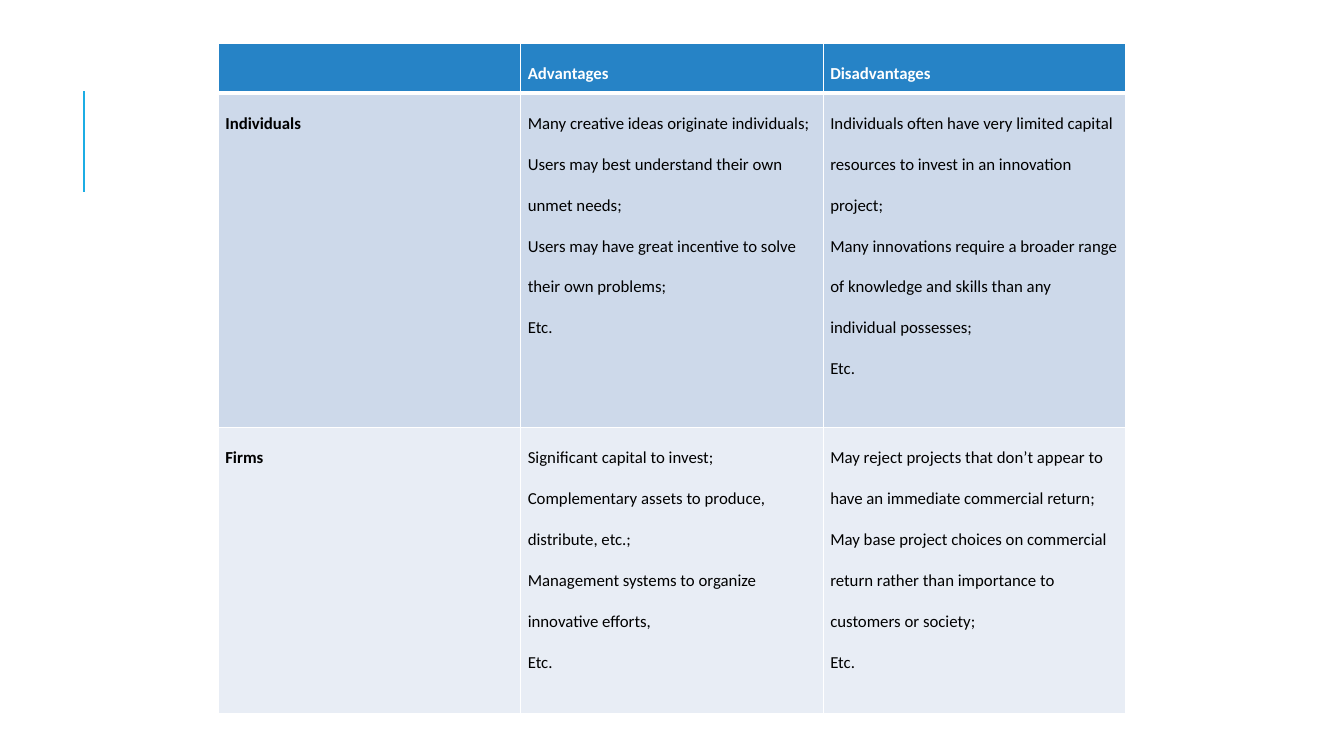
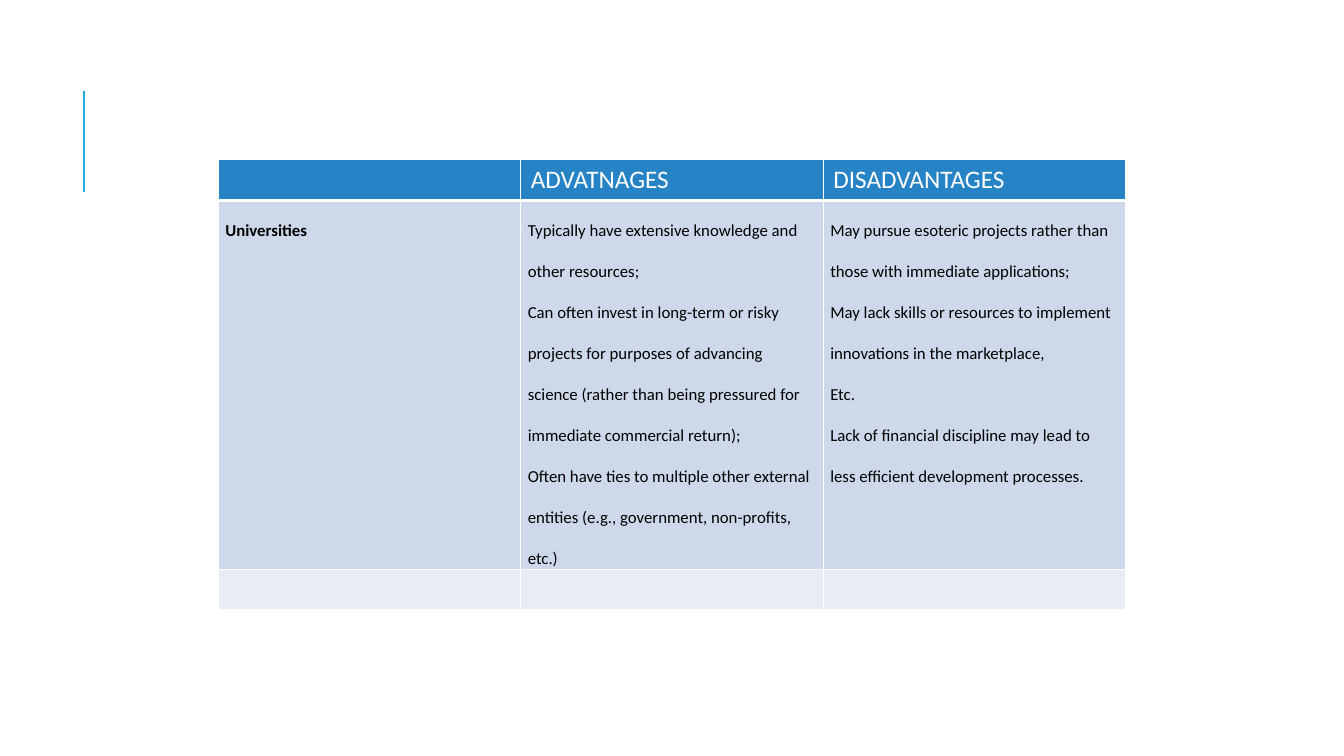
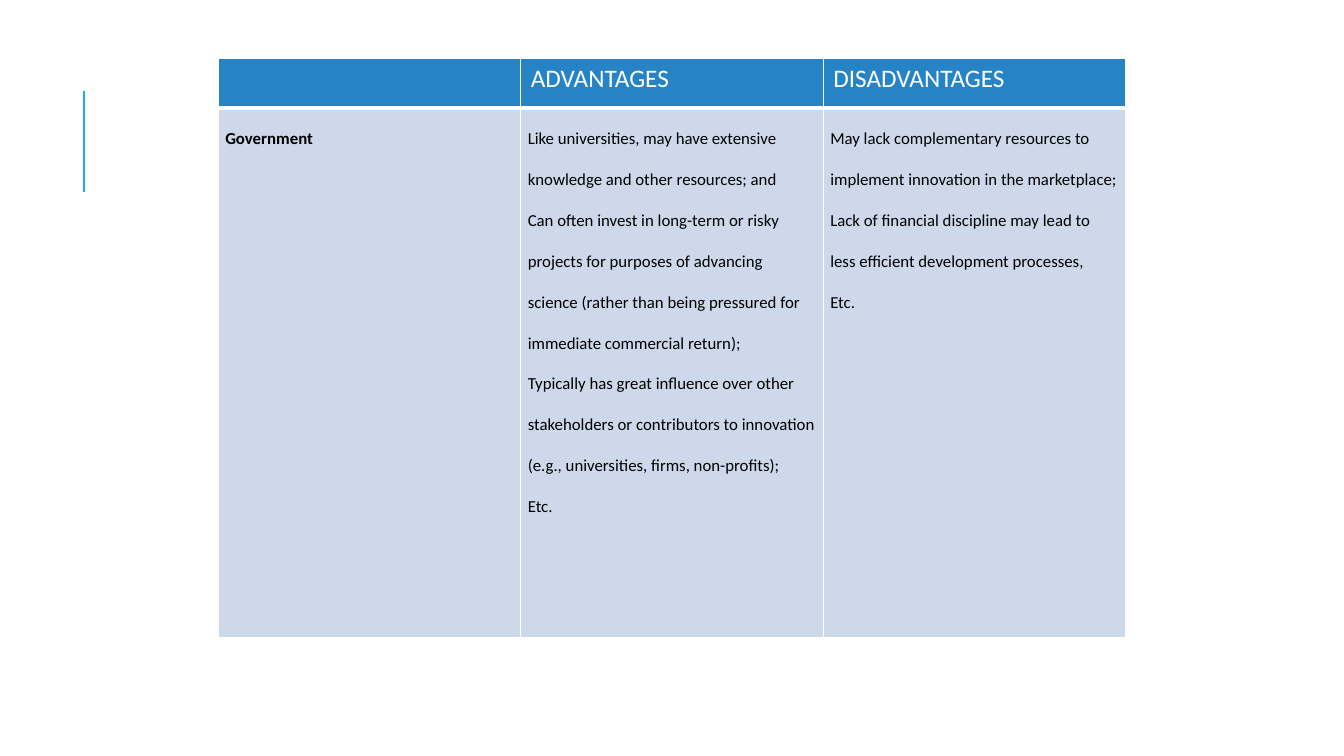
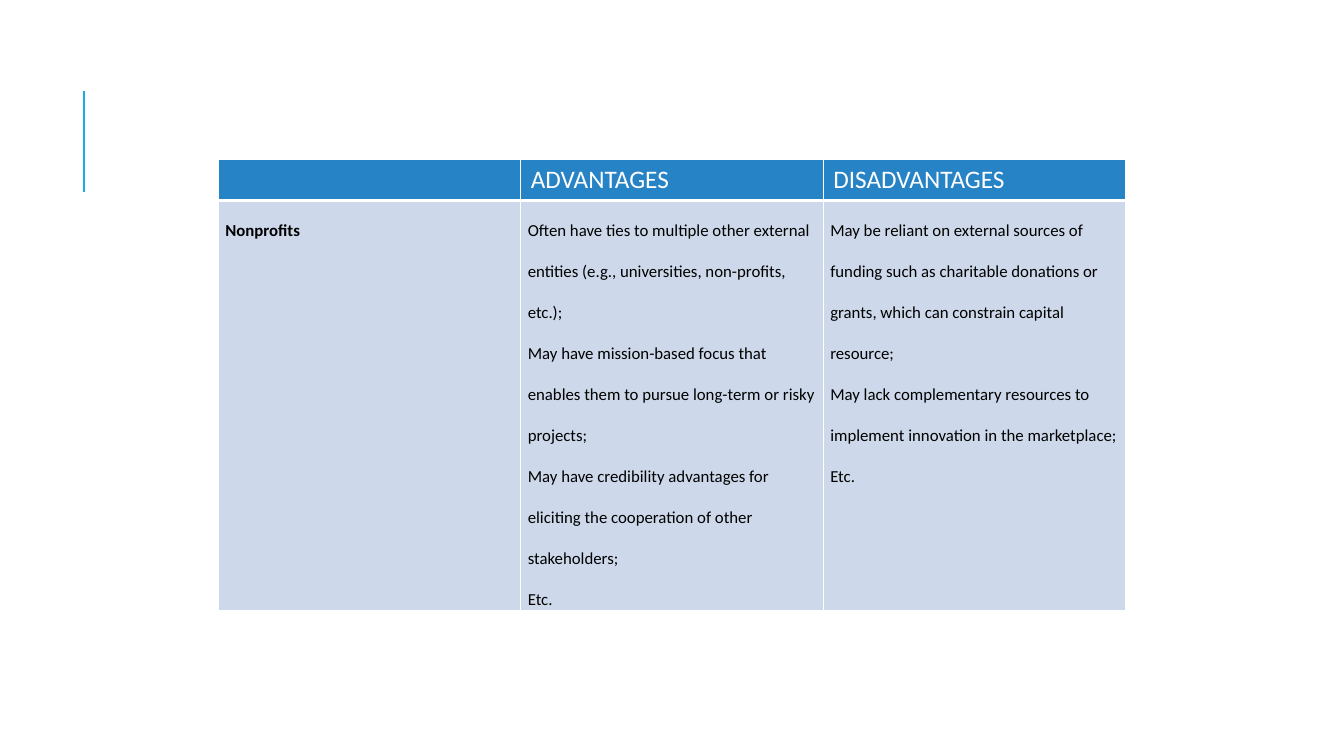
from lxml.etree import SubElement
from pptx import Presentation
from pptx.dml.color import RGBColor
from pptx.enum.shapes import MSO_CONNECTOR
from pptx.oxml.ns import qn
from pptx.util import Inches, Pt

SLIDE_WIDTH = Inches(13.33)
SLIDE_HEIGHT = Inches(7.5)
COLUMN_WIDTH = Inches(3)
COLUMN_COUNT = 3
TABLE_LEFT = (SLIDE_WIDTH - COLUMN_COUNT * COLUMN_WIDTH) // 2

WHITE = RGBColor(0xFF, 0xFF, 0xFF)
BLACK = RGBColor(0x00, 0x00, 0x00)
ACCENT = RGBColor(0x1C, 0xAD, 0xE4)
HEADER_BLUE = RGBColor(0x26, 0x83, 0xC6)
BAND_FILLS = (RGBColor(0xCD, 0xD9, 0xEA), RGBColor(0xE8, 0xED, 0xF5))

FONT = "Calibri"
CAPITAL_HEADINGS = ("ADVANTAGES", "DISADVANTAGES")

INDIVIDUALS = (
    ["Individuals"],
    ["Many creative ideas originate individuals;",
     "Users may best understand their own unmet needs;",
     "Users may have great incentive to solve their own problems; ",
     "Etc."],
    ["Individuals often have very limited capital resources to invest in an "
     "innovation project;",
     "Many innovations require a broader range of knowledge and skills than "
     "any individual possesses;",
     "Etc."],
)
FIRMS = (
    ["Firms"],
    ["Significant capital to invest;",
     "Complementary assets to produce, distribute, etc.;",
     "Management systems to organize innovative efforts, ",
     "Etc."],
    ["May reject projects that don\u2019t appear to have an immediate "
     "commercial return;",
     "May base project choices on commercial return rather than importance to "
     "customers or society;",
     "Etc."],
)
UNIVERSITIES = (
    ["Universities"],
    ["Typically have extensive knowledge and other resources;",
     "Can often invest in long-term or risky projects for purposes of "
     "advancing science (rather than being pressured for immediate commercial "
     "return); ",
     "Often have ties to multiple other external entities (e.g., government, "
     "non-profits, etc.) "],
    ["May pursue esoteric projects rather than those with immediate "
     "applications;",
     "May lack skills or resources to implement innovations in the "
     "marketplace, ",
     "Etc.",
     "Lack of financial discipline may lead to less efficient development "
     "processes."],
)
GOVERNMENT = (
    ["Government"],
    ["Like universities, may have extensive knowledge and other resources; "
     "and ",
     "Can often invest in long-term or risky projects for purposes of "
     "advancing science (rather than being pressured for immediate commercial "
     "return);",
     "Typically has great influence over other stakeholders or contributors "
     "to innovation (e.g., universities, firms, non-profits);",
     "Etc."],
    ["May lack complementary resources to implement innovation in the "
     "marketplace;",
     "Lack of financial discipline may lead to less efficient development "
     "processes,",
     "Etc."],
)
NONPROFITS = (
    ["Nonprofits"],
    ["Often have ties to multiple other external entities (e.g., "
     "universities, non-profits, etc.);",
     "May have mission-based focus that enables them to pursue long-term or "
     "risky projects;",
     "May have credibility advantages for eliciting the cooperation of other "
     "stakeholders;",
     "Etc."],
    ["May be reliant on external sources of funding such as charitable "
     "donations or grants, which can constrain capital resource;",
     "May lack complementary resources to implement innovation in the "
     "marketplace;",
     "Etc."],
)
EMPTY_ROW = ([], [], [])


def add_page(deck):
    """Add a blank page with the accent line at its left."""
    page = deck.slides.add_slide(deck.slide_layouts[6])
    line_left = Inches(0.83)
    line = page.shapes.add_connector(
        MSO_CONNECTOR.STRAIGHT, line_left, Inches(1.9), line_left, Inches(0.9))
    line.line.color.rgb = ACCENT
    line.line.width = Pt(1.5)
    SubElement(line._element.spPr, qn("a:effectLst"))
    return page


def write(frame, paragraphs, size=12, color=BLACK, bold=False, spacing=2.0):
    """Write paragraphs of one format into a text frame."""
    for index, text in enumerate(paragraphs):
        para = frame.add_paragraph() if index else frame.paragraphs[0]
        para.line_spacing = spacing
        span = para.add_run()
        span.text = text
        span.font.name = FONT
        span.font.size = Pt(size)
        span.font.bold = bold
        span.font.color.rgb = color


def set_borders(cell, bottom=1):
    """Draw white borders, 1 point wide except perhaps at the bottom."""
    properties = cell._tc.get_or_add_tcPr()
    widths = {"a:lnL": 1, "a:lnR": 1, "a:lnT": 1, "a:lnB": bottom}
    for tag, width in widths.items():
        border = SubElement(properties, qn(tag), w=str(Pt(width)))
        fill = SubElement(border, qn("a:solidFill"))
        SubElement(fill, qn("a:srgbClr"), val=str(WHITE))


def style_cell(cell, color, bottom=1, tight=False):
    """Give a cell its borders and fill, and narrow margins if tight."""
    set_borders(cell, bottom)
    cell.fill.solid()
    cell.fill.fore_color.rgb = color
    if tight:
        cell.margin_left = cell.margin_right = Inches(0.07)
        cell.margin_top = cell.margin_bottom = 0


def add_comparison(page, top, heights, rows, headings=CAPITAL_HEADINGS,
                   compact_header=False):
    """Add a table of advantages and disadvantages, centred on the page."""
    table = page.shapes.add_table(
        len(heights), COLUMN_COUNT, TABLE_LEFT, Inches(top),
        COLUMN_COUNT * COLUMN_WIDTH, Inches(sum(heights))).table
    for column in table.columns:
        column.width = COLUMN_WIDTH
    for row, height in zip(table.rows, heights):
        row.height = Inches(height)

    header_format = {"size": 12, "bold": True} if compact_header else {
        "size": 18, "spacing": 1.0}
    for index, heading in enumerate(("", *headings)):
        cell = table.cell(0, index)
        style_cell(cell, HEADER_BLUE, bottom=3, tight=compact_header and heading)
        if heading:
            write(cell.text_frame, [heading], color=WHITE, **header_format)

    for row_index, contents in enumerate(rows, start=1):
        for index, paragraphs in enumerate(contents):
            cell = table.cell(row_index, index)
            style_cell(cell, BAND_FILLS[(row_index - 1) % 2],
                       tight=bool(paragraphs))
            write(cell.text_frame, paragraphs, bold=index == 0)


def main():
    """Build the deck and save it."""
    deck = Presentation()
    deck.slide_width = SLIDE_WIDTH
    deck.slide_height = SLIDE_HEIGHT

    add_comparison(add_page(deck), 0.43, (0.49, 3.32, 2.84),
                   (INDIVIDUALS, FIRMS),
                   headings=("Advantages", "Disadvantages"),
                   compact_header=True)
    add_comparison(add_page(deck), 1.58, (0.41, 3.65, 0.4),
                   (UNIVERSITIES, EMPTY_ROW),
                   headings=("ADVATNAGES", "DISADVANTAGES"))
    add_comparison(add_page(deck), 0.58, (0.49, 5.26), (GOVERNMENT,))
    add_comparison(add_page(deck), 1.58, (0.41, 4.05), (NONPROFITS,))

    deck.save("out.pptx")


main()
